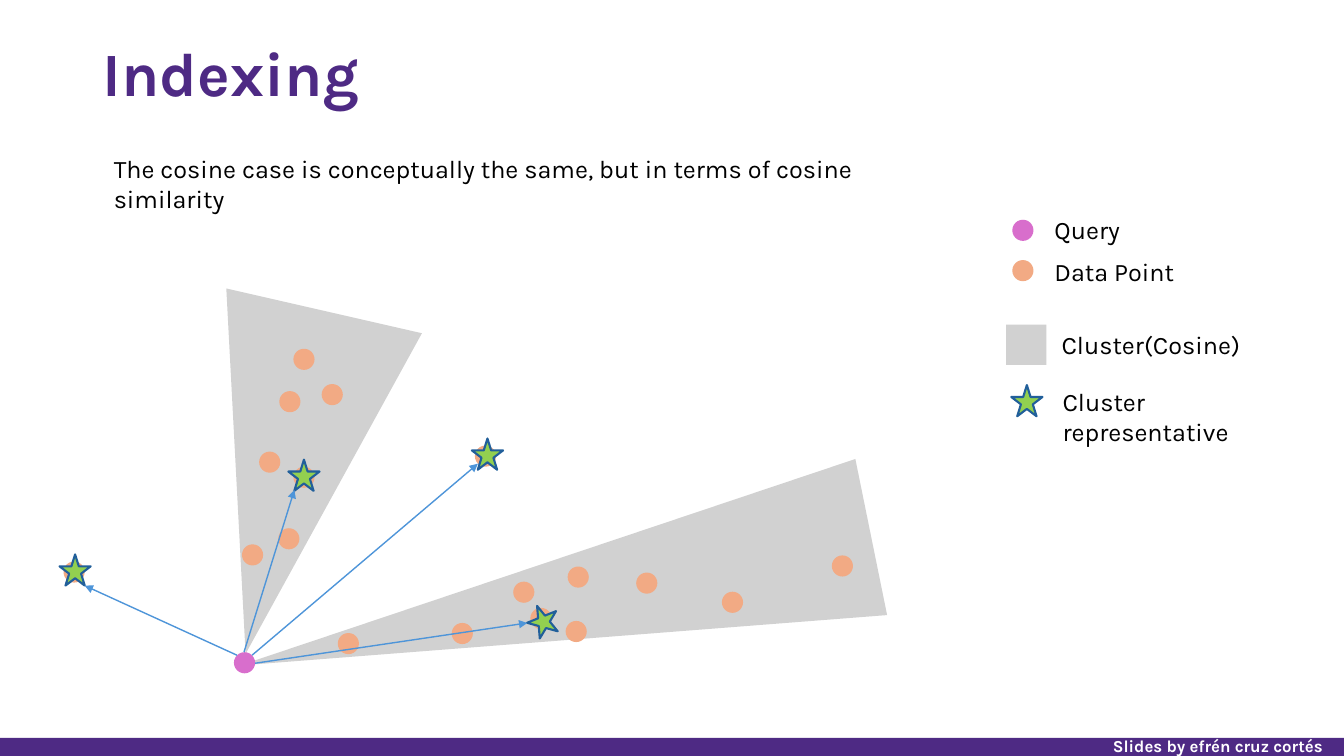
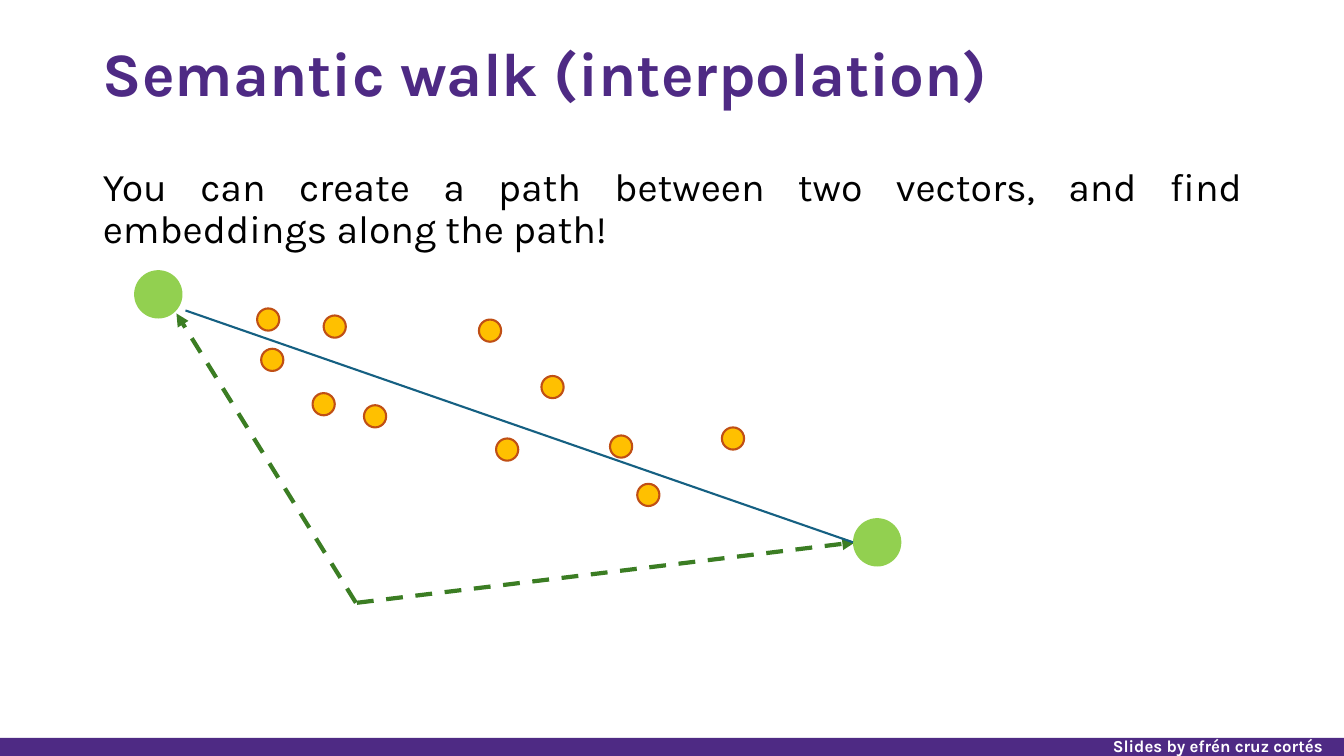
from dataclasses import dataclass

from lxml import etree
from pptx import Presentation
from pptx.dml.color import RGBColor
from pptx.enum.dml import MSO_LINE
from pptx.enum.shapes import MSO_CONNECTOR, MSO_SHAPE
from pptx.enum.text import MSO_ANCHOR, MSO_AUTO_SIZE, PP_ALIGN
from pptx.oxml.ns import qn
from pptx.util import Inches, Pt

STRAIGHT = MSO_CONNECTOR.STRAIGHT
RECTANGLE = MSO_SHAPE.RECTANGLE
OVAL = MSO_SHAPE.OVAL
STAR = MSO_SHAPE.STAR_5_POINT
TRIANGLE = MSO_SHAPE.ISOSCELES_TRIANGLE
DASH = MSO_LINE.DASH
TOP, MIDDLE, BOTTOM = MSO_ANCHOR.TOP, MSO_ANCHOR.MIDDLE, MSO_ANCHOR.BOTTOM
LEFT, CENTER, JUSTIFY = PP_ALIGN.LEFT, PP_ALIGN.CENTER, PP_ALIGN.JUSTIFY
NO_AUTOFIT = MSO_AUTO_SIZE.NONE


@dataclass(frozen=True)
class Theme:
    font: str = "Karla"
    purple: str = "4E2A84"
    white: str = "FFFFFF"
    black: str = "000000"
    cluster: str = "D1D1D1"
    data: str = "F2AA84"
    query: str = "D86ECC"
    green: str = "92D050"
    star_edge: str = "215F9A"
    arrow: str = "4E95D9"
    vector: str = "3B7D23"
    walk: str = "156082"
    embedding: str = "FFC000"
    embedding_edge: str = "C04F15"
    title_size: int = 44
    body_size: int = 28
    label_size: int = 18
    footer_size: int = 12
    dot: float = 0.21
    star: float = 0.31
    embedding_dot: float = 0.22
    endpoint: float = 0.48
    swatch: float = 0.4


THEME = Theme()
SLIDE_WIDTH, SLIDE_HEIGHT = 13.33, 7.5
TITLE_BOX = (0.92, 0.27, 11.5, 0.98)
BODY_BOX = (0.92, 1.61, 11.5, 5.14)
CAPTION_BOX = (1.03, 1.47, 8.22, 0.71)
CLUSTER_ORIGIN = (0.5, 2.5)
LEGEND_ORIGIN = (9.98, 2.08)
WALK_ORIGIN = (1.3, 2.6)

CLUSTERS = [
    (4.22, 0.27, 1.58, 6.39, 258.5),
    (1.33, 0.54, 1.99, 3.49, 192.9),
]
DATA_POINTS = [
    (2.41, 0.96), (2.27, 1.38), (2.07, 1.98), (2.41, 2.13), (3.98, 3.68),
    (5.11, 3.66), (7.75, 3.01), (5.13, 3.12), (2.69, 1.31), (4.76, 3.53),
    (4.59, 3.27), (1.9, 2.9), (5.81, 3.18), (2.26, 2.74), (0.13, 3.07),
    (4.21, 1.92), (6.66, 3.37), (2.85, 3.78),
]
QUERY_POINT = (1.82, 3.97)
REPRESENTATIVES = [
    (4.18, 1.85, 0), (4.73, 3.5, 338.1), (0.09, 3, 0), (2.36, 2.06, 0),
]
QUERY_ARROWS = [
    ((1.85, 4), (0.34, 3.31)),
    ((1.92, 3.97), (2.42, 2.36)),
    ((2.03, 4.08), (4.73, 3.68)),
    ((2, 4), (4.24, 2.1)),
]
LEGEND_LABELS = [
    ("Query", 0.38, 0, 1.09, 0.4),
    ("Data Point", 0.38, 0.41, 1.67, 0.4),
    ("Cluster(Cosine)", 0.45, 1.14, 2.28, 0.4),
    ("Cluster representative", 0.46, 1.7, 2.06, 0.71),
]
VECTORS = [((2.23, 3.38), (0.45, 0.51)), ((2.24, 3.38), (7.18, 2.78))]
WALK = ((0.54, 0.48), (7.16, 2.78))
WALK_ENDS = [(0.03, 0.08), (7.16, 2.54)]
EMBEDDINGS = [
    (1.25, 0.46), (1.29, 0.86), (1.91, 0.53), (1.8, 1.3), (2.31, 1.42),
    (3.45, 0.57), (3.62, 1.75), (4.07, 1.13), (5.86, 1.64), (4.75, 1.72),
    (5.02, 2.2),
]


def shift(origin, point):
    return origin[0] + point[0], origin[1] + point[1]


def add_mark(slide, kind, corner, size, fill, edge=None, rotation=0):
    mark = slide.shapes.add_shape(kind, *map(Inches, (*corner, *size)))
    mark.shadow.inherit = False
    mark.rotation = rotation
    mark.fill.solid()
    mark.fill.fore_color.rgb = RGBColor.from_string(fill)
    if edge:
        mark.line.color.rgb = RGBColor.from_string(edge)
        mark.line.width = Pt(1.5)
    else:
        mark.line.fill.background()


def add_dot(slide, corner, diameter, fill, edge=None):
    add_mark(slide, OVAL, corner, (diameter, diameter), fill, edge)


def add_star(slide, corner, rotation=0):
    size = (THEME.star, THEME.star)
    add_mark(slide, STAR, corner, size, THEME.green, THEME.star_edge, rotation)


def add_line(slide, origin, ends, color, width, dash=None, arrow=True):
    start, end = (shift(origin, point) for point in ends)
    connector = slide.shapes.add_connector(STRAIGHT, *map(Inches, (*start, *end)))
    connector.line.color.rgb = RGBColor.from_string(color)
    connector.line.width = Pt(width)
    if dash:
        connector.line.dash_style = dash
    if arrow:
        etree.SubElement(connector.get_or_add_ln(), qn("a:tailEnd"), type="triangle")
    etree.SubElement(connector._element.spPr, qn("a:effectLst"))


def write(shape, text, size, color=THEME.black, bold=False, align=LEFT,
          anchor=TOP, spacing=1.0):
    frame = shape.text_frame
    frame.text = text
    frame.word_wrap = True
    frame.auto_size = NO_AUTOFIT
    frame.vertical_anchor = anchor
    paragraph = frame.paragraphs[0]
    paragraph.alignment = align
    paragraph.line_spacing = spacing
    paragraph.space_before = Pt(0)
    properties = paragraph._p.get_or_add_pPr()
    properties.set("marL", "0")
    properties.set("indent", "0")
    etree.SubElement(properties, qn("a:buNone"))
    paragraph.font.name = THEME.font
    paragraph.font.size = Pt(size)
    paragraph.font.bold = bold
    paragraph.font.color.rgb = RGBColor.from_string(color)


def add_label(slide, box, text, size=THEME.label_size, **style):
    write(slide.shapes.add_textbox(*map(Inches, box)), text, size, **style)


def place(placeholder, box):
    placeholder.left, placeholder.top, placeholder.width, placeholder.height = map(
        Inches, box)


def add_footer(slide, band):
    left, top, width, height = band
    add_mark(slide, RECTANGLE, (left, top), (width, height), THEME.purple)
    add_label(slide, (left + width - 2.48, top - 0.07, 2.46, 0.3),
              "Slides by efrén cruz cortés", THEME.footer_size,
              color=THEME.white, bold=True, align=CENTER, anchor=BOTTOM)


def start_slide(deck, layout, title):
    slide = deck.slides.add_slide(deck.slide_layouts.get_by_name(layout))
    add_footer(slide, (0, 7.32, SLIDE_WIDTH, 0.18))
    place(slide.shapes.title, TITLE_BOX)
    write(slide.shapes.title, title, THEME.title_size, THEME.purple, bold=True,
          anchor=MIDDLE, spacing=0.9)
    return slide


def add_cluster_plot(slide, origin):
    for x, y, width, height, rotation in CLUSTERS:
        add_mark(slide, TRIANGLE, shift(origin, (x, y)), (width, height),
                 THEME.cluster, rotation=rotation)
    for point in DATA_POINTS:
        add_dot(slide, shift(origin, point), THEME.dot, THEME.data)
    add_dot(slide, shift(origin, QUERY_POINT), THEME.dot, THEME.query)
    for x, y, rotation in REPRESENTATIVES:
        add_star(slide, shift(origin, (x, y)), rotation)
    for ends in QUERY_ARROWS:
        add_line(slide, origin, ends, THEME.arrow, 1)


def add_legend(slide, origin):
    add_dot(slide, shift(origin, (0.06, 0.1)), THEME.dot, THEME.query)
    add_dot(slide, shift(origin, (0.06, 0.5)), THEME.dot, THEME.data)
    add_mark(slide, RECTANGLE, shift(origin, (0, 1.14)),
             (THEME.swatch, THEME.swatch), THEME.cluster)
    add_star(slide, shift(origin, (0.05, 1.74)))
    for text, x, y, width, height in LEGEND_LABELS:
        add_label(slide, (*shift(origin, (x, y)), width, height), text)


def add_walk_plot(slide, origin):
    for ends in VECTORS:
        add_line(slide, origin, ends, THEME.vector, 3, dash=DASH)
    for corner in WALK_ENDS:
        add_dot(slide, shift(origin, corner), THEME.endpoint, THEME.green)
    add_line(slide, origin, WALK, THEME.walk, 1.5, arrow=False)
    for corner in EMBEDDINGS:
        add_dot(slide, shift(origin, corner), THEME.embedding_dot,
                THEME.embedding, THEME.embedding_edge)


def build_indexing(deck):
    slide = start_slide(deck, "Title Only", "Indexing")
    add_cluster_plot(slide, CLUSTER_ORIGIN)
    add_legend(slide, LEGEND_ORIGIN)
    add_label(slide, CAPTION_BOX,
              "The cosine case is conceptually the same, "
              "but in terms of cosine similarity")


def build_semantic_walk(deck):
    slide = start_slide(deck, "Title and Content", "Semantic walk (interpolation)")
    body = slide.placeholders[1]
    place(body, BODY_BOX)
    write(body, "You can create a path between two vectors, "
                "and find embeddings along the path!",
          THEME.body_size, align=JUSTIFY, spacing=0.9)
    add_walk_plot(slide, WALK_ORIGIN)


def main():
    deck = Presentation()
    deck.slide_width = Inches(SLIDE_WIDTH)
    deck.slide_height = Inches(SLIDE_HEIGHT)
    build_indexing(deck)
    build_semantic_walk(deck)
    deck.save("out.pptx")


if __name__ == "__main__":
    main()
